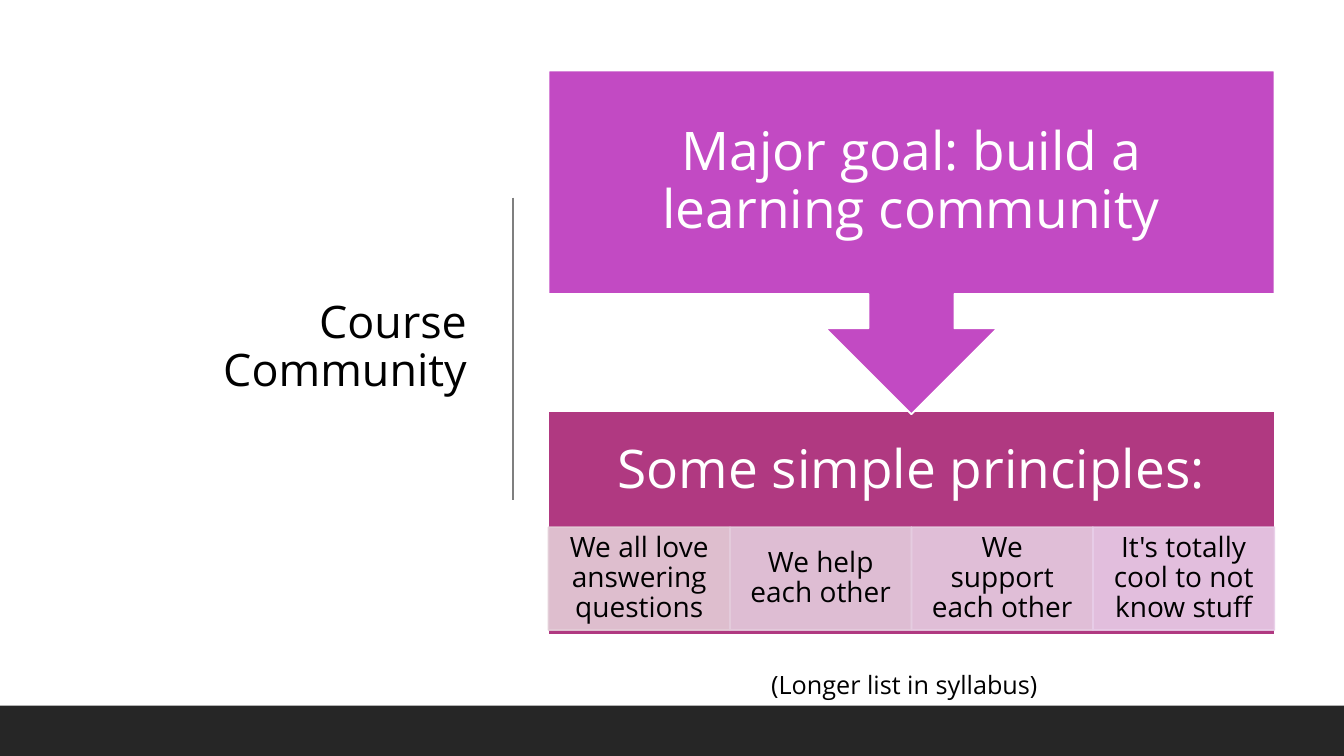
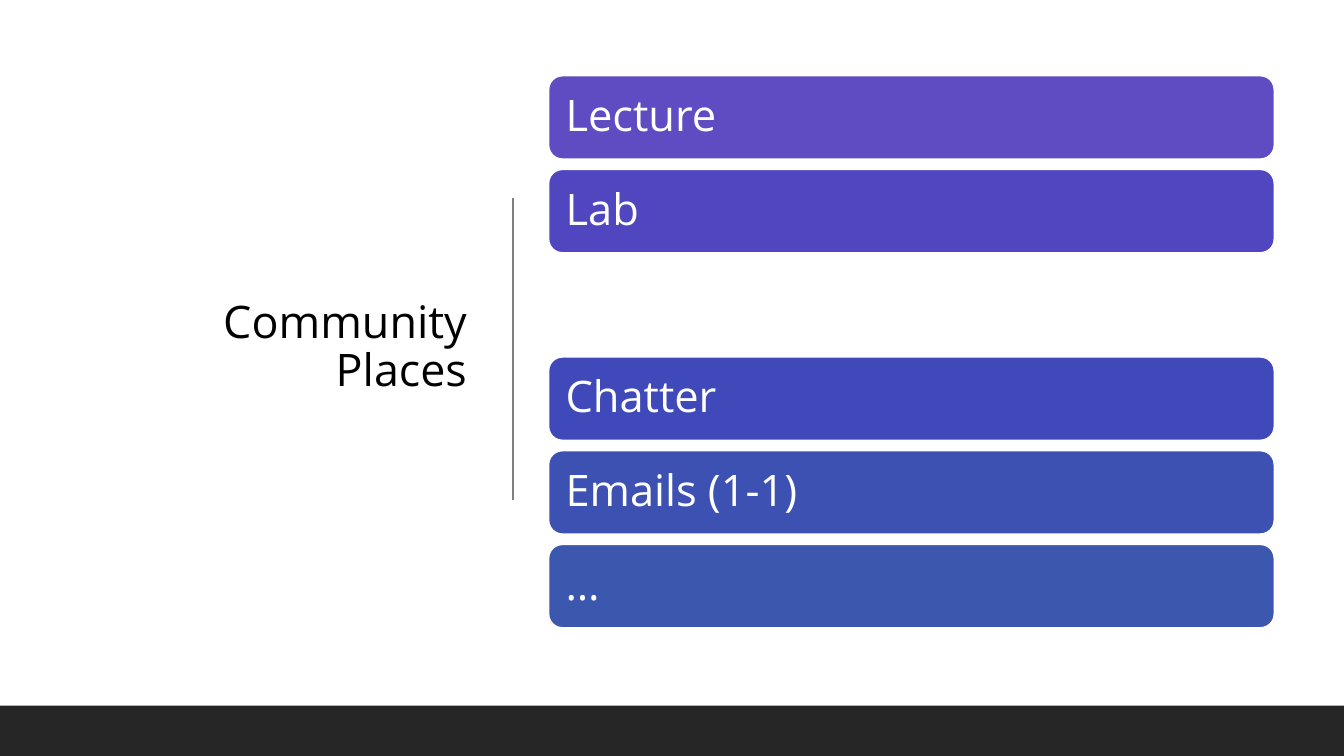
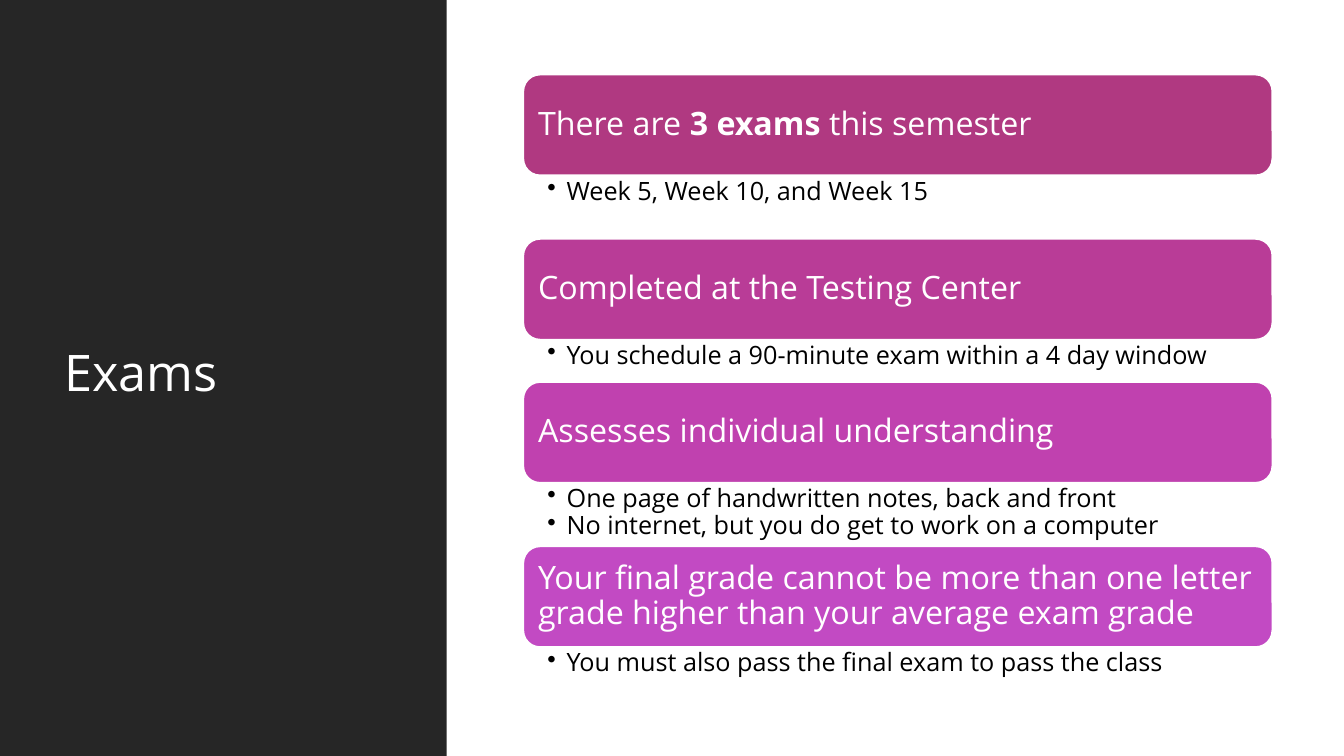
from dataclasses import dataclass
from typing import Optional

from lxml.etree import SubElement
from pptx import Presentation
from pptx.dml.color import RGBColor
from pptx.enum.shapes import MSO_CONNECTOR, MSO_SHAPE as Shp
from pptx.enum.text import MSO_ANCHOR as Anchor, PP_ALIGN as Align
from pptx.oxml.ns import qn
from pptx.util import Inches, Pt


@dataclass(frozen=True)
class Theme:
    font: str = "Open Sans"
    dark: str = "262626"
    rule: str = "7F7F7F"
    white: str = "FFFFFF"
    black: str = "000000"
    berry: str = "B03981"
    orchid: str = "C24AC3"
    title: int = 32
    panel_title: int = 36
    callout: int = 38
    place: int = 31
    heading: int = 23
    principle: int = 20
    body: int = 18


T = Theme()
BOX_INSETS = (0.1, 0.05, 0.1, 0.05)


@dataclass(frozen=True)
class Box:
    x: float
    y: float
    w: float
    h: float

    def emu(self) -> tuple:
        return tuple(Inches(v) for v in (self.x, self.y, self.w, self.h))


@dataclass(frozen=True)
class Style:
    size: int
    color: str = T.white
    align: Align = Align.LEFT
    anchor: Anchor = Anchor.MIDDLE
    insets: tuple = BOX_INSETS
    bullet: bool = False
    spacing: float = 0.9


@dataclass(frozen=True)
class Run:
    text: str
    bold: bool = False


@dataclass(frozen=True)
class Card:
    text: str
    color: str


@dataclass(frozen=True)
class Topic:
    runs: list
    color: str
    points: list
    body_h: float


PRINCIPLES = [
    Card("We all love answering questions", "E3CDD7"),
    Card("We help each other", "E4CCDC"),
    Card("We support each other", "E6CDE1"),
    Card("It's totally cool to not know stuff", "E8CDE8"),
]
# None leaves an open row
PLACES: list[Optional[Card]] = [
    Card("Lecture", "5F4CC2"),
    Card("Lab", "4F46C0"),
    None,
    Card("Chatter", "3F49B9"),
    Card("Emails (1-1)", "3D51B3"),
    Card("…", "3B57AE"),
]
TOPICS = [
    Topic([Run("There are "), Run("3 exams", True), Run(" this semester")],
          T.berry, ["Week 5, Week 10, and Week 15"], 0.63),
    Topic([Run("Completed at the Testing Center")], "B93C97",
          ["You schedule a 90-minute exam within a 4 day window"], 0.42),
    Topic([Run("Assesses individual understanding")], "C041AF",
          ["One page of handwritten notes, back and front",
           "No internet, but you do get to work on a computer"], 0.63),
    Topic([Run("Your final grade cannot be more than one letter grade "
               "higher than your average exam grade")], T.orchid,
          ["You must also pass the final exam to pass the class"], 0.42),
]


# Drawing helpers
def rgb(color: str) -> RGBColor:
    return RGBColor.from_string(color)


def write(sp, paragraphs: list, st: Style) -> None:
    """Fill a shape with paragraphs, each a list of runs."""
    tf = sp.text_frame
    tf.word_wrap = True
    tf.vertical_anchor = st.anchor
    (tf.margin_left, tf.margin_top,
     tf.margin_right, tf.margin_bottom) = (Inches(v) for v in st.insets)
    for i, runs in enumerate(paragraphs):
        p = tf.add_paragraph() if i else tf.paragraphs[0]
        p.alignment = st.align
        p.line_spacing = st.spacing
        if st.bullet:
            pPr = p._p.get_or_add_pPr()
            pPr.set("marL", str(Inches(0.19)))
            pPr.set("indent", str(-Inches(0.19)))
            SubElement(pPr, qn("a:buChar")).set("char", "•")
        for run in runs:
            r = p.add_run()
            r.text = run.text
            r.font.name = T.font
            r.font.size = Pt(st.size)
            r.font.bold = run.bold
            r.font.color.rgb = rgb(st.color)


def add_text(s, box: Box, paragraphs: list, st: Style) -> None:
    write(s.shapes.add_textbox(*box.emu()), paragraphs, st)


def add_block(s, kind: Shp, box: Box, fill: str, line: Optional[str] = None,
              alpha: Optional[int] = None):
    sp = s.shapes.add_shape(kind, *box.emu())
    sp.shadow.inherit = False
    sp.fill.solid()
    sp.fill.fore_color.rgb = rgb(fill)
    if line:
        sp.line.color.rgb = rgb(line)
        sp.line.width = Pt(1.25)
    else:
        sp.line.fill.background()
    if alpha is not None:
        for clr in sp._element.spPr.iter(qn("a:srgbClr")):
            SubElement(clr, qn("a:alpha")).set("val", str(alpha * 1000))
    return sp


def add_card(s, box: Box, fill: str, runs: list, st: Style) -> None:
    sp = add_block(s, Shp.ROUNDED_RECTANGLE, box, fill, T.white)
    write(sp, [runs], st)


def add_titled_slide(prs, title: str):
    """Slide with right-aligned title, vertical rule and footer band."""
    s = prs.slides.add_slide(prs.slide_layouts[6])
    add_text(s, Box(0.7, 0.69, 4.03, 5.53), [[Run(title)]],
             Style(T.title, T.black, Align.RIGHT))
    rule = s.shapes.add_connector(MSO_CONNECTOR.STRAIGHT, Inches(5.09),
                                  Inches(1.96), Inches(5.09), Inches(4.96))
    rule.line.color.rgb = rgb(T.rule)
    rule.line.width = Pt(1)
    SubElement(rule._element.spPr, qn("a:effectLst"))
    add_block(s, Shp.RECTANGLE, Box(0, 7, 13.33, 0.5), T.dark)
    return s


# Slides
def community_slide(prs) -> None:
    s = add_titled_slide(prs, "Course Community")
    left, width, cell_h = 5.44, 7.2, 1.02

    # Principles panel; the lower inset keeps its heading above the cells
    panel = add_block(s, Shp.RECTANGLE, Box(left, 4.08, width, 2.22),
                      T.berry, T.white)
    write(panel, [[Run("Some simple principles:")]],
          Style(T.callout, align=Align.CENTER,
                insets=(0.3, 0.3, 0.3, 0.3 + cell_h)))
    cell_w = width / len(PRINCIPLES)
    for i, card in enumerate(PRINCIPLES):
        cell = add_block(s, Shp.RECTANGLE,
                         Box(left + i * cell_w, 5.23, cell_w, cell_h),
                         card.color, card.color, alpha=90)
        write(cell, [[Run(card.text)]],
              Style(T.principle, T.black, Align.CENTER,
                    insets=(0.16, 0.03, 0.16, 0.03)))

    # Goal pointing down to the principles
    goal = add_block(s, Shp.DOWN_ARROW_CALLOUT, Box(left, 0.7, width, 3.41),
                     T.orchid, T.white)
    for i, value in enumerate((0.25, 0.25, 0.25, 0.65)):
        goal.adjustments[i] = value
    write(goal, [[Run("Major goal: build a learning community")]],
          Style(T.callout, align=Align.CENTER, insets=(0.3,) * 4))

    add_text(s, Box(7.55, 6.59, 2.98, 0.4),
             [[Run("(Longer list in syllabus)")]],
             Style(T.body, T.black, anchor=Anchor.TOP, spacing=1.0))


def places_slide(prs) -> None:
    s = add_titled_slide(prs, "Community Places")
    st = Style(T.place, insets=(0.13,) * 4)
    for i, card in enumerate(PLACES):
        if card:
            add_card(s, Box(5.44, 0.75 + i * 0.93, 7.2, 0.83),
                     card.color, [Run(card.text)], st)


def exams_slide(prs) -> None:
    s = prs.slides.add_slide(prs.slide_layouts[6])
    add_block(s, Shp.RECTANGLE, Box(0, 0, 4.43, 7.5), T.dark)
    add_text(s, Box(0.54, 0.57, 3.37, 6.31), [[Run("Exams")]],
             Style(T.panel_title))

    # Stack of headings, each followed by its points
    left, width, head_h, y = 5.19, 7.43, 1.0, 0.74
    head = Style(T.heading, insets=(0.1,) * 4)
    body = Style(T.body, T.black, anchor=Anchor.TOP, bullet=True,
                 insets=(0.24, 0.03, 0.18, 0.03))
    for topic in TOPICS:
        add_card(s, Box(left, y, width, head_h), topic.color, topic.runs, head)
        y += head_h
        add_text(s, Box(left, y, width, topic.body_h),
                 [[Run(point)] for point in topic.points], body)
        y += topic.body_h


def main() -> None:
    prs = Presentation()
    prs.slide_width, prs.slide_height = Inches(13.33), Inches(7.5)
    community_slide(prs)
    places_slide(prs)
    exams_slide(prs)
    prs.save("out.pptx")


if __name__ == "__main__":
    main()
